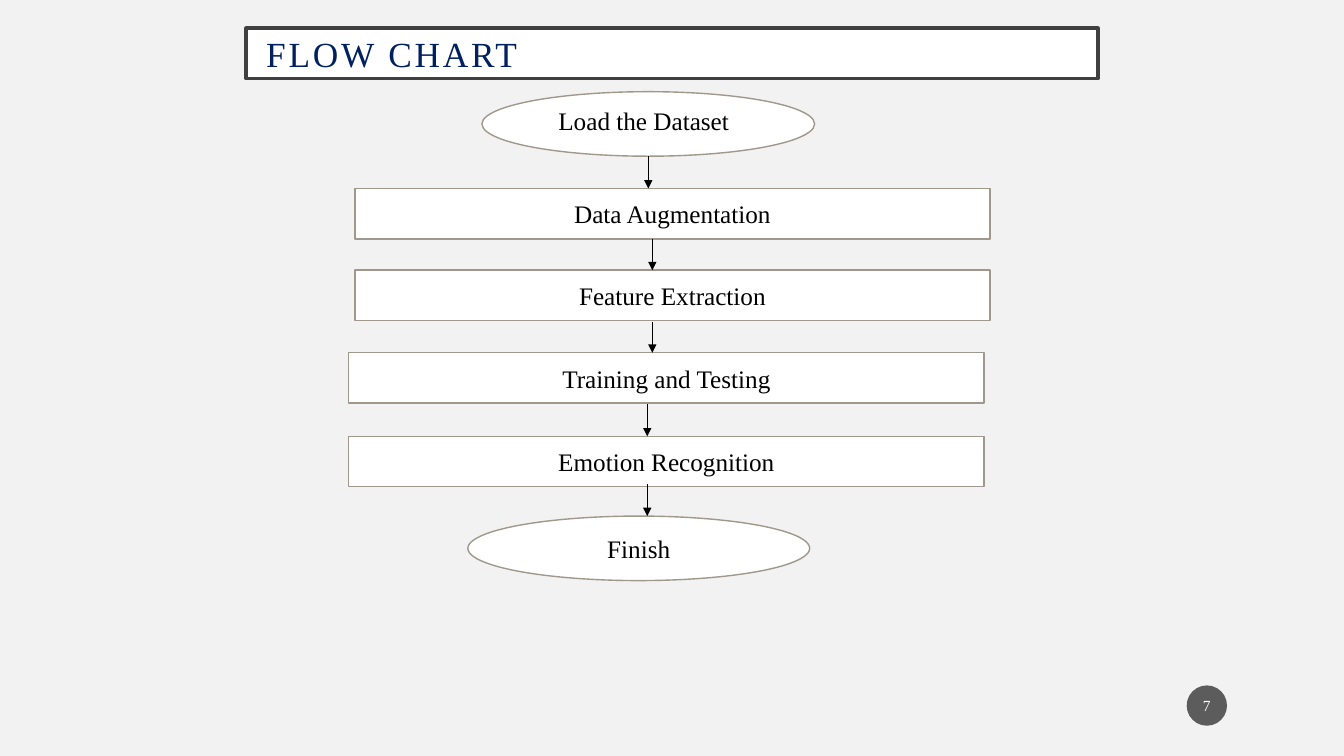
"""Build the flow chart slide."""
from dataclasses import dataclass

from lxml import etree
from pptx import Presentation
from pptx.dml.color import RGBColor
from pptx.enum.shapes import MSO_CONNECTOR, MSO_SHAPE
from pptx.enum.text import MSO_ANCHOR, MSO_AUTO_SIZE, PP_ALIGN
from pptx.oxml.ns import qn
from pptx.util import Inches, Pt

RECT, OVAL = MSO_SHAPE.RECTANGLE, MSO_SHAPE.OVAL
STRAIGHT = MSO_CONNECTOR.STRAIGHT
LEFT, CENTER = PP_ALIGN.LEFT, PP_ALIGN.CENTER
MIDDLE = MSO_ANCHOR.MIDDLE
NO_FIT = MSO_AUTO_SIZE.NONE

FONT = "Times New Roman"
COLORS = {
    "background": "F2F2F2", "white": "FFFFFF", "black": "000000",
    "title": "002060", "frame": "404040", "outline": "A0988C", "badge": "1D1D1D",
}


@dataclass
class Step:
    text: str
    kind: int
    left: float
    top: float
    width: float
    height: float


@dataclass
class Arrow:
    x: float
    top: float
    length: float = 0.32


STEPS = [
    Step("", OVAL, 4.78, 0.91, 3.3, 0.64),
    Step("Data Augmentation", RECT, 3.52, 1.87, 6.3, 0.5),
    Step("Feature Extraction", RECT, 3.52, 2.68, 6.3, 0.5),
    Step("Training and Testing", RECT, 3.46, 3.5, 6.3, 0.5),
    Step("Emotion Recognition", RECT, 3.46, 4.33, 6.3, 0.5),
    Step("Finish", OVAL, 4.64, 5.12, 3.39, 0.64),
]
ARROWS = [
    Arrow(6.43, 1.55), Arrow(6.47, 2.37, 0.31), Arrow(6.47, 3.19, 0.31),
    Arrow(6.42, 4.01), Arrow(6.42, 4.8),
]


def rgb(name: str) -> RGBColor:
    """Return the named colour."""
    return RGBColor.from_string(COLORS[name])


def write(sp, text: str, size: float, color: str, align=CENTER):
    """Write one line of text in a shape and return its run."""
    tf = sp.text_frame
    tf.text = text
    tf.word_wrap = True
    p = tf.paragraphs[0]
    p.alignment = align
    r = p.runs[0]
    r.font.name, r.font.size = FONT, Pt(size)
    r.font.color.rgb = rgb(color)
    return r


def paint(sp, fill: str, line: str, width: float) -> None:
    """Fill and outline a shape."""
    sp.fill.solid()
    sp.fill.fore_color.rgb = rgb(fill)
    sp.line.color.rgb = rgb(line)
    sp.line.width = Pt(width)


def add_title(s, text: str) -> None:
    """Frame and format the title placeholder."""
    sp = s.shapes.title
    sp.left, sp.top, sp.width, sp.height = map(Inches, (2.44, 0.28, 8.45, 0.5))
    paint(sp, "white", "frame", 2.5)
    r = write(sp, text, 25.2, "title", LEFT)
    r._r.get_or_add_rPr().set("spc", "200")
    tf = sp.text_frame
    tf.auto_size = NO_FIT
    tf.vertical_anchor = MIDDLE
    tf.margin_left = tf.margin_right = Inches(0.2)
    tf.margin_top = tf.margin_bottom = 0


def add_step(s, step: Step) -> None:
    """Draw one step of the flow."""
    box = map(Inches, (step.left, step.top, step.width, step.height))
    sp = s.shapes.add_shape(step.kind, *box)
    sp.shadow.inherit = False
    paint(sp, "white", "outline", 1)
    if step.text:
        write(sp, step.text, 18, "black")
        sp.text_frame.vertical_anchor = MIDDLE


def add_arrow(s, arrow: Arrow) -> None:
    """Draw one downward arrow."""
    x = Inches(arrow.x)
    cx = s.shapes.add_connector(
        STRAIGHT, x, Inches(arrow.top), x, Inches(arrow.top + arrow.length))
    cx.line.color.rgb = rgb("black")
    cx.line.width = Pt(0.5)
    etree.SubElement(cx.line._get_or_add_ln(), qn("a:tailEnd"), type="triangle")
    etree.SubElement(cx._element.spPr, qn("a:effectLst"))


def add_badge(s, number: str) -> None:
    """Draw the translucent page number badge."""
    sp = s.shapes.add_shape(OVAL, *map(Inches, (11.77, 6.8, 0.4, 0.4)))
    sp.shadow.inherit = False
    sp.fill.solid()
    sp.fill.fore_color.rgb = rgb("badge")
    color = sp._element.spPr.find(".//" + qn("a:srgbClr"))
    etree.SubElement(color, qn("a:alpha"), val="70000")
    sp.line.fill.background()
    write(sp, number, 11, "white")
    tf = sp.text_frame
    tf.vertical_anchor = MIDDLE
    tf.margin_left = tf.margin_right = Inches(0.02)


def main() -> None:
    """Assemble and save the slide."""
    prs = Presentation()
    prs.slide_width, prs.slide_height = Inches(13.33), Inches(7.5)
    s = prs.slides.add_slide(prs.slide_layouts[5])
    s.background.fill.solid()
    s.background.fill.fore_color.rgb = rgb("background")
    add_title(s, "FLOW CHART")
    add_badge(s, "7")
    for step in STEPS:
        add_step(s, step)
    for arrow in ARROWS:
        add_arrow(s, arrow)
    label = s.shapes.add_textbox(*map(Inches, (5.44, 1, 2.34, 0.4)))
    write(label, "Load the Dataset", 18, "black", LEFT)
    prs.save("out.pptx")


main()
